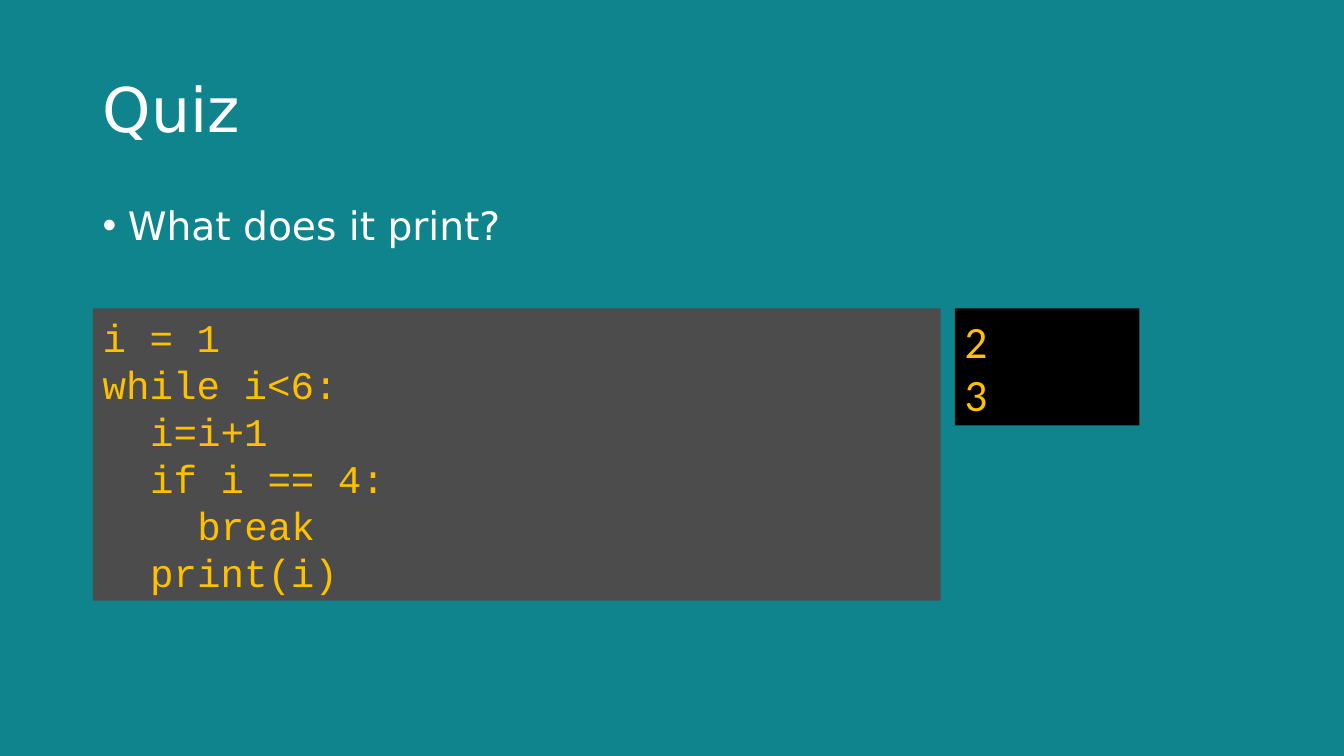
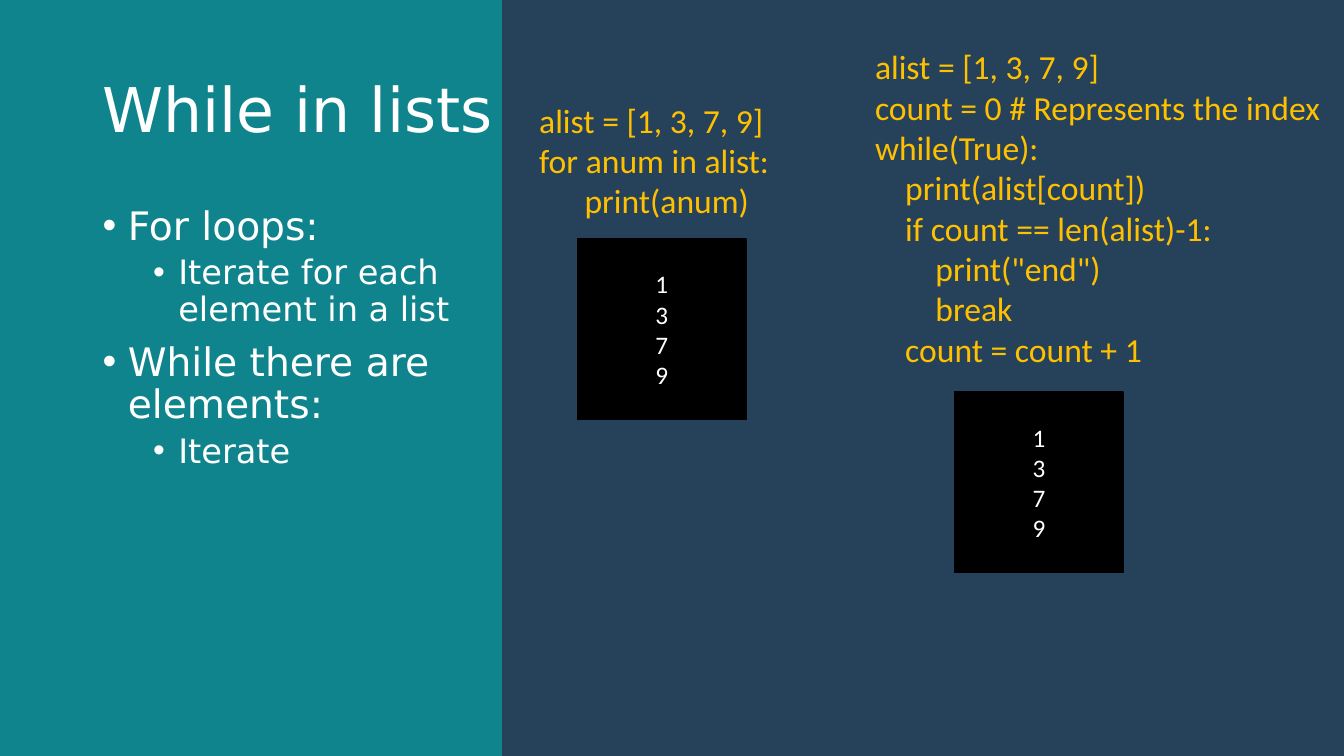
from dataclasses import dataclass
from typing import Any, Optional

from lxml.etree import SubElement
from pptx import Presentation
from pptx.dml.color import RGBColor
from pptx.enum.shapes import MSO_SHAPE
from pptx.enum.text import MSO_ANCHOR, MSO_AUTO_SIZE, PP_ALIGN
from pptx.oxml.ns import qn
from pptx.util import Inches, Pt

COLORS = {
    "teal": "0F848D",
    "navy": "26425B",
    "gray": "4C4C4C",
    "black": "000000",
    "white": "FFFFFF",
    "amber": "FFC000",
}
HEADING_FONT = "DejaVu Sans"
TITLE_ONLY = 5
FRAME_FORMAT = {
    "word_wrap": True,
    "auto_size": MSO_AUTO_SIZE.NONE,
    "margin_left": Inches(0.1),
    "margin_right": Inches(0.1),
    "margin_top": Inches(0.05),
    "margin_bottom": Inches(0.05),
}


@dataclass(frozen=True)
class Box:
    left: float
    top: float
    width: float
    height: float

    def lengths(self) -> tuple:
        return tuple(Inches(v) for v in (self.left, self.top, self.width, self.height))


@dataclass(frozen=True)
class Line:
    text: str
    level: int = 0


@dataclass(frozen=True)
class Panel:
    """A block of code or output; step is the indent of one code level."""
    box: Box
    lines: tuple[Line, ...]
    font: str = "Calibri"
    size: float = 24
    color: str = "amber"
    fill: Optional[str] = None
    outline: Optional[str] = None
    step: float = 0.3
    centered: bool = False


@dataclass(frozen=True)
class Lesson:
    title: str
    bullets: tuple[Line, ...]
    bullet_width: float
    panels: tuple[Panel, ...]
    backdrop: Optional[Box] = None


def rgb(name: str) -> RGBColor:
    return RGBColor.from_string(COLORS[name])


def apply_format(target: Any, values: dict) -> None:
    for name, value in values.items():
        setattr(target, name, value)


def write_line(paragraph: Any, text: str, font: str, size: float, color: str) -> None:
    run = paragraph.add_run()
    run.text = text
    apply_format(run.font, {"name": font, "size": Pt(size)})
    run.font.color.rgb = rgb(color)


def paragraph_at(frame: Any, index: int) -> Any:
    return frame.add_paragraph() if index else frame.paragraphs[0]


def add_block(slide: Any, box: Box, fill: str, outline: Optional[str] = None) -> Any:
    block = slide.shapes.add_shape(MSO_SHAPE.RECTANGLE, *box.lengths())
    block.shadow.inherit = False
    block.fill.solid()
    block.fill.fore_color.rgb = rgb(fill)
    if outline:
        block.line.color.rgb = rgb(outline)
        block.line.width = Pt(1)
    else:
        block.line.fill.background()
    return block


def set_title(slide: Any, text: str) -> None:
    title = slide.shapes.title
    places = Box(0.92, 0.4, 11.5, 1.44).lengths()
    apply_format(title, dict(zip(("left", "top", "width", "height"), places)))
    apply_format(title.text_frame,
                 {**FRAME_FORMAT, "vertical_anchor": MSO_ANCHOR.MIDDLE})
    paragraph = title.text_frame.paragraphs[0]
    apply_format(paragraph, {"alignment": PP_ALIGN.LEFT, "line_spacing": 0.9})
    write_line(paragraph, text, HEADING_FONT, 44, "white")


def add_bullets(slide: Any, lines: tuple[Line, ...], width: float) -> None:
    frame = slide.shapes.add_textbox(*Box(0.92, 2, width, 4.75).lengths()).text_frame
    apply_format(frame, FRAME_FORMAT)
    for index, line in enumerate(lines):
        paragraph = paragraph_at(frame, index)
        apply_format(paragraph, {
            "level": line.level,
            "line_spacing": 0.9,
            "space_before": Pt(5 if line.level else 10),
        })
        # Hanging bullet
        properties = paragraph._p.get_or_add_pPr()
        properties.set("marL", str(Inches(0.25 + 0.5 * line.level)))
        properties.set("indent", str(Inches(-0.25)))
        SubElement(properties, qn("a:buFont")).set("typeface", "Arial")
        SubElement(properties, qn("a:buChar")).set("char", "•")
        write_line(paragraph, line.text, HEADING_FONT, 28 - 4 * line.level, "white")


def add_panel(slide: Any, panel: Panel) -> None:
    if panel.fill:
        holder = add_block(slide, panel.box, panel.fill, panel.outline)
    else:
        holder = slide.shapes.add_textbox(*panel.box.lengths())
    frame = holder.text_frame
    anchor = MSO_ANCHOR.MIDDLE if panel.centered else MSO_ANCHOR.TOP
    apply_format(frame, {**FRAME_FORMAT, "vertical_anchor": anchor})
    for index, line in enumerate(panel.lines):
        paragraph = paragraph_at(frame, index)
        paragraph.alignment = PP_ALIGN.CENTER if panel.centered else PP_ALIGN.LEFT
        if line.level:
            paragraph._p.get_or_add_pPr().set("marL", str(Inches(panel.step * line.level)))
        write_line(paragraph, line.text, panel.font, panel.size, panel.color)


def list_output(left: float, top: float) -> Panel:
    return Panel(Box(left, top, 1.67, 1.79), tuple(Line(n) for n in "1379"),
                 size=18, color="white", fill="black", outline="black", centered=True)


def add_lesson(deck: Any, lesson: Lesson) -> None:
    slide = deck.slides.add_slide(deck.slide_layouts[TITLE_ONLY])
    set_title(slide, lesson.title)
    add_bullets(slide, lesson.bullets, lesson.bullet_width)
    if lesson.backdrop:
        add_block(slide, lesson.backdrop, "navy")
    for panel in lesson.panels:
        add_panel(slide, panel)


# Quiz: code and its output
QUIZ = Lesson(
    "Quiz",
    (Line("What does it print?"),),
    11.5,
    (
        Panel(Box(0.92, 3.06, 8.41, 2.9), (
            Line("i = 1"),
            Line("while i<6:"),
            Line("i=i+1", 1),
            Line("if i == 4:", 1),
            Line("break", 2),
            Line("print(i)", 1),
        ), font="Courier New", size=28, fill="gray", step=0.47),
        Panel(Box(9.47, 3.06, 1.83, 1.16), (Line("2"), Line("3")),
              size=32, fill="black"),
    ),
)

# Lists: a for loop beside a while loop
WHILE_IN_LISTS = Lesson(
    "While in lists",
    (
        Line("For loops:"),
        Line("Iterate for each element in a list", 1),
        Line("While there are elements:"),
        Line("Iterate", 1),
    ),
    4.2,
    (
        Panel(Box(5.25, 0.94, 3.2, 1.3), (
            Line("alist = [1, 3, 7, 9]"),
            Line("for anum in alist:"),
            Line("print(anum)", 1),
        ), step=0.45),
        list_output(5.73, 2.37),
        Panel(Box(8.58, 0.41, 4.75, 3.3), (
            Line("alist = [1, 3, 7, 9]"),
            Line("count = 0 # Represents the index"),
            Line("while(True):"),
            Line("print(alist[count])", 1),
            Line("if count == len(alist)-1:", 1),
            Line('print("end")', 2),
            Line("break", 2),
            Line("count = count + 1", 1),
        )),
        list_output(9.47, 3.89),
    ),
    backdrop=Box(4.98, 0, 8.35, 7.5),
)


def main() -> None:
    deck = Presentation()
    apply_format(deck, {"slide_width": Inches(13.33), "slide_height": Inches(7.5)})
    # Shared background
    background = deck.slide_master.background.fill
    background.solid()
    background.fore_color.rgb = rgb("teal")
    for lesson in (QUIZ, WHILE_IN_LISTS):
        add_lesson(deck, lesson)
    deck.save("out.pptx")


if __name__ == "__main__":
    main()
